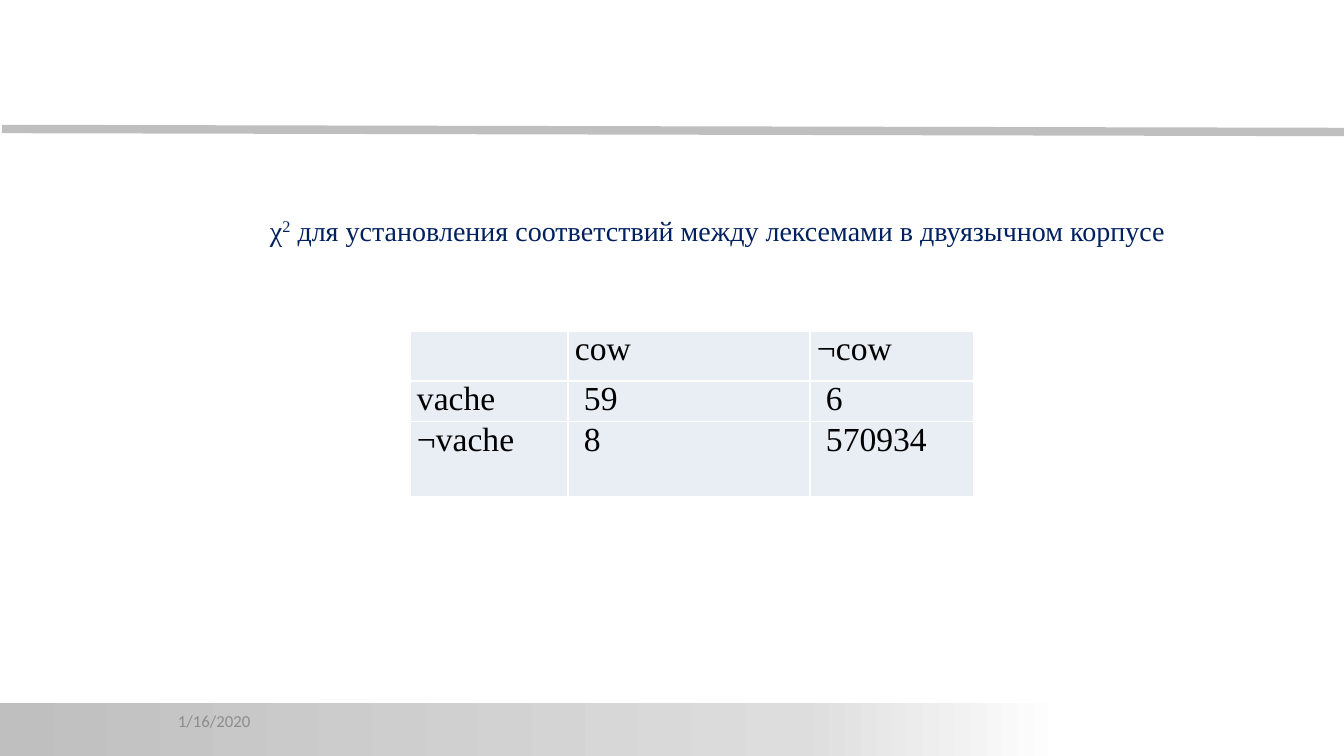
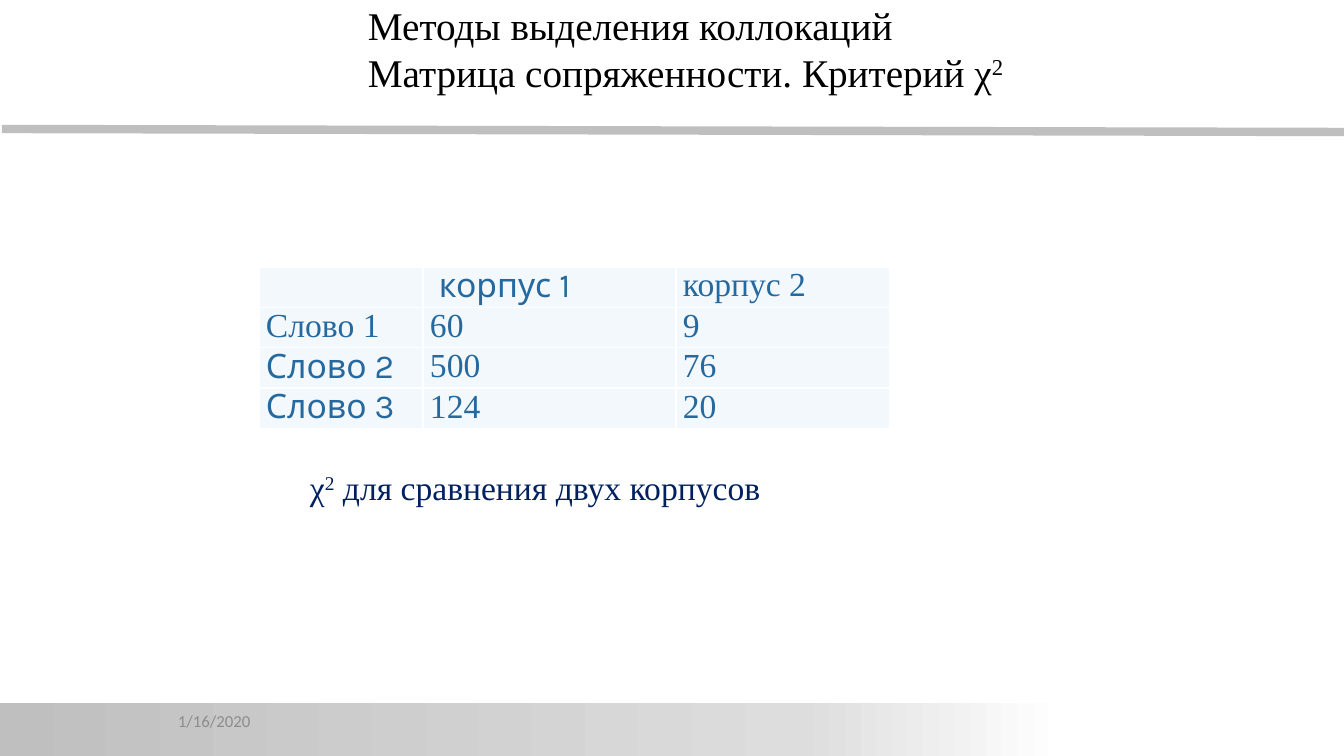
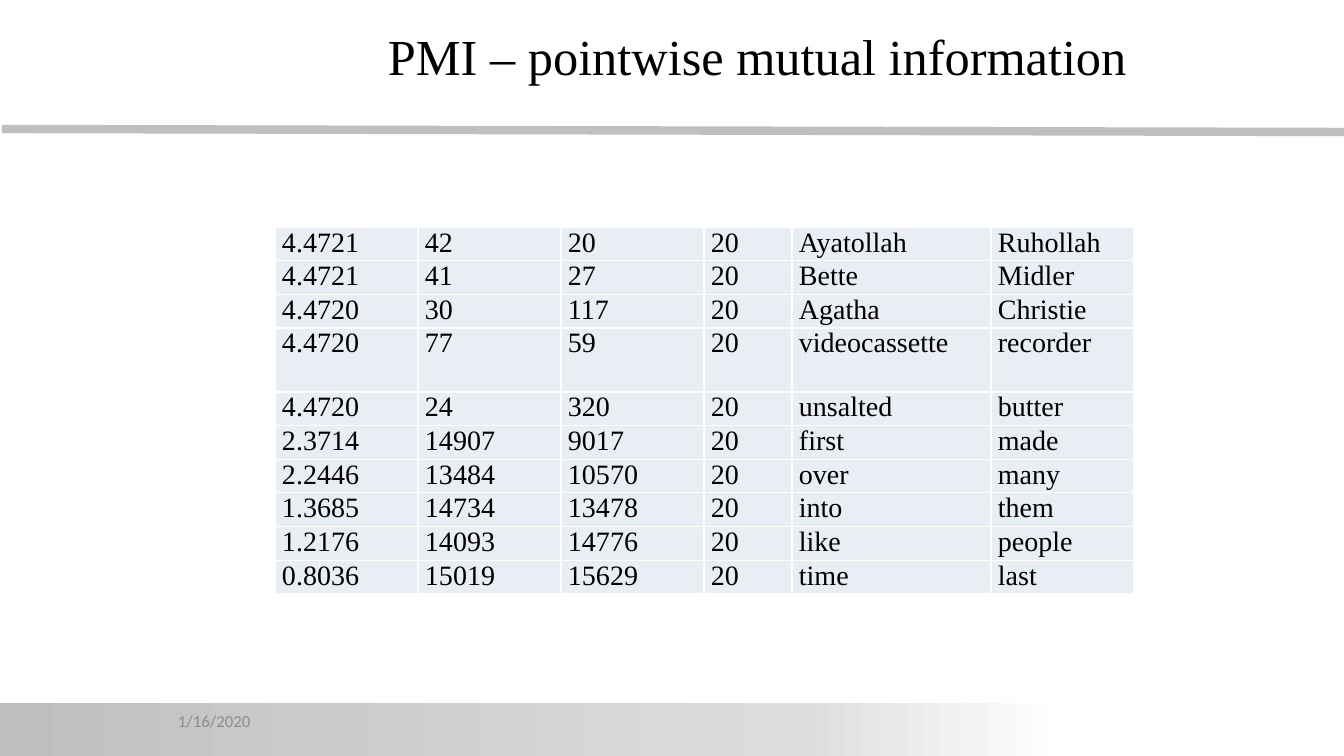
from copy import deepcopy

from lxml import etree
from pptx import Presentation
from pptx.dml.color import RGBColor
from pptx.enum.shapes import MSO_CONNECTOR as Connector, MSO_SHAPE as Shape
from pptx.enum.text import MSO_ANCHOR as Anchor
from pptx.oxml.ns import qn
from pptx.util import Pt

PX = 914400 / 100.8
WIDTH, HEIGHT = 1344, 756

BLACK = RGBColor(0x00, 0x00, 0x00)
WHITE = RGBColor(0xFF, 0xFF, 0xFF)
NAVY = RGBColor(0x00, 0x20, 0x60)
BLUE = RGBColor(0x26, 0x69, 0x9F)
ICE = RGBColor(0xF3, 0xF8, 0xFC)
LAVENDER = RGBColor(0xE9, 0xED, 0xF4)
SILVER = RGBColor(0xBF, 0xBF, 0xBF)
PALE_GRAY = RGBColor(0xDD, 0xDD, 0xDD)
DATE_GRAY = RGBColor(0x8C, 0x8C, 0x8C)

SERIF, SANS, DATE_FONT = "Times New Roman", "Karla", "Calibri"

DATE = "1/16/2020"
BAND_STOPS = [(0, SILVER), (0.75, PALE_GRAY), (1, WHITE)]

SLIDES = [
    {
        "texts": [
            {"text": "χ² для установления соответствий между лексемами в двуязычном корпусе",
             "box": (260, 209, 940, 42), "size": 20, "color": NAVY, "anchor": Anchor.MIDDLE},
        ],
        "table": {
            "origin": (410, 331), "columns": [158, 242, 164], "heights": [50, 40, 75],
            "fill": LAVENDER, "size": 24, "color": BLACK,
            "indented": {"59", "6", "8", "570934"},
            "rows": [
                ("", "cow", "¬cow"),
                ("vache", "59", "6"),
                ("¬vache", "8", "570934"),
            ],
        },
    },
    {
        "texts": [
            {"text": "Методы выделения коллокаций\nМатрица сопряженности. Критерий χ²",
             "box": (358, -4, 776, 105), "size": 28},
            {"text": "χ² для сравнения двух корпусов",
             "box": (300, 463, 800, 49), "size": 24, "color": NAVY, "anchor": Anchor.MIDDLE},
        ],
        "table": {
            "origin": (259, 267), "columns": [164, 253, 214], "heights": [40] * 4,
            "fill": ICE, "size": 24, "color": BLUE,
            "indented": {"корпус 1"},
            "sans": {"корпус 1", "Слово 2", "Слово 3"},
            "rows": [
                ("", "корпус 1", "корпус 2"),
                ("Слово 1", "60", "9"),
                ("Слово 2", "500", "76"),
                ("Слово 3", "124", "20"),
            ],
        },
    },
    {
        "texts": [
            {"text": "PMI – pointwise mutual information",
             "box": (378, 20, 778, 72), "size": 36},
        ],
        "table": {
            "origin": (275, 227), "columns": [143, 143, 143, 88, 199, 143],
            "heights": [(367 - 64) / 9] * 3 + [64] + [(367 - 64) / 9] * 6,
            "fill": LAVENDER, "size": 20, "color": BLACK,
            "rows": [
                ("4.4721", "42", "20", "20", "Ayatollah", "Ruhollah"),
                ("4.4721", "41", "27", "20", "Bette", "Midler"),
                ("4.4720", "30", "117", "20", "Agatha", "Christie"),
                ("4.4720", "77", "59", "20", "videocassette", "recorder"),
                ("4.4720", "24", "320", "20", "unsalted", "butter"),
                ("2.3714", "14907", "9017", "20", "first", "made"),
                ("2.2446", "13484", "10570", "20", "over", "many"),
                ("1.3685", "14734", "13478", "20", "into", "them"),
                ("1.2176", "14093", "14776", "20", "like", "people"),
                ("0.8036", "15019", "15629", "20", "time", "last"),
            ],
        },
    },
]


def px(value):
    return round(value * PX)


def write_text(frame, text, size, color=BLACK, font=SERIF):
    for number, line in enumerate(text.split("\n")):
        paragraph = frame.add_paragraph() if number else frame.paragraphs[0]
        before, square, after = line.partition("²")
        for part, raised in ((before, False), ("2" if square else "", True), (after, False)):
            if not part:
                continue
            run = paragraph.add_run()
            run.text = part
            run.font.name = font
            run.font.size = Pt(size)
            run.font.color.rgb = color
            if raised:
                run.font._element.set("baseline", "30000")


def add_text(slide, text, box, anchor=Anchor.TOP, **style):
    frame = slide.shapes.add_textbox(*map(px, box)).text_frame
    frame.word_wrap = True
    frame.vertical_anchor = anchor
    write_text(frame, text, **style)


def add_frame(slide):
    rule = slide.shapes.add_connector(
        Connector.STRAIGHT, px(2), px(129), px(WIDTH), px(132))
    rule.line.color.rgb = SILVER
    rule.line.width = Pt(6)
    etree.SubElement(rule._element.spPr, qn("a:effectLst"))

    band = slide.shapes.add_shape(Shape.RECTANGLE, 0, px(703), px(1064), px(HEIGHT - 703))
    band.shadow.inherit = False
    band.line.fill.background()
    band.fill.gradient()
    band.fill.gradient_angle = 0
    stop_list = band._element.spPr.find(qn("a:gradFill")).find(qn("a:gsLst"))
    stop_list.append(deepcopy(stop_list[-1]))
    for stop, (position, color) in zip(band.fill.gradient_stops, BAND_STOPS):
        stop.position = position
        stop.color.rgb = color

    add_text(slide, DATE, (168, 701, 235, 40), anchor=Anchor.MIDDLE,
             size=12, color=DATE_GRAY, font=DATE_FONT)


def add_borders(cell):
    properties = cell._tc.get_or_add_tcPr()
    for side in ("lnL", "lnR", "lnT", "lnB"):
        border = etree.SubElement(properties, qn("a:" + side), w=str(Pt(1)))
        paint = etree.SubElement(border, qn("a:solidFill"))
        etree.SubElement(paint, qn("a:srgbClr"), val=str(WHITE))


def add_table(slide, origin, columns, heights, rows, fill, size, color,
              indented=(), sans=()):
    table = slide.shapes.add_table(
        len(rows), len(columns), *map(px, (*origin, sum(columns), sum(heights)))).table
    table.first_row = False
    table.horz_banding = False
    for column, width in zip(table.columns, columns):
        column.width = px(width)
    for row, height, values in zip(table.rows, heights, rows):
        row.height = px(height)
        for cell, value in zip(row.cells, values):
            add_borders(cell)
            cell.fill.solid()
            cell.fill.fore_color.rgb = fill
            cell.margin_left = px(16 if value in indented else 7)
            cell.margin_right = px(7)
            cell.margin_top = cell.margin_bottom = 0
            write_text(cell.text_frame, value, size, color,
                       SANS if value in sans else SERIF)


def main():
    presentation = Presentation()
    presentation.slide_width = px(WIDTH)
    presentation.slide_height = px(HEIGHT)
    for content in SLIDES:
        slide = presentation.slides.add_slide(presentation.slide_layouts[6])
        add_frame(slide)
        add_table(slide, **content["table"])
        for text in content["texts"]:
            add_text(slide, **text)
    presentation.save("out.pptx")


if __name__ == "__main__":
    main()
